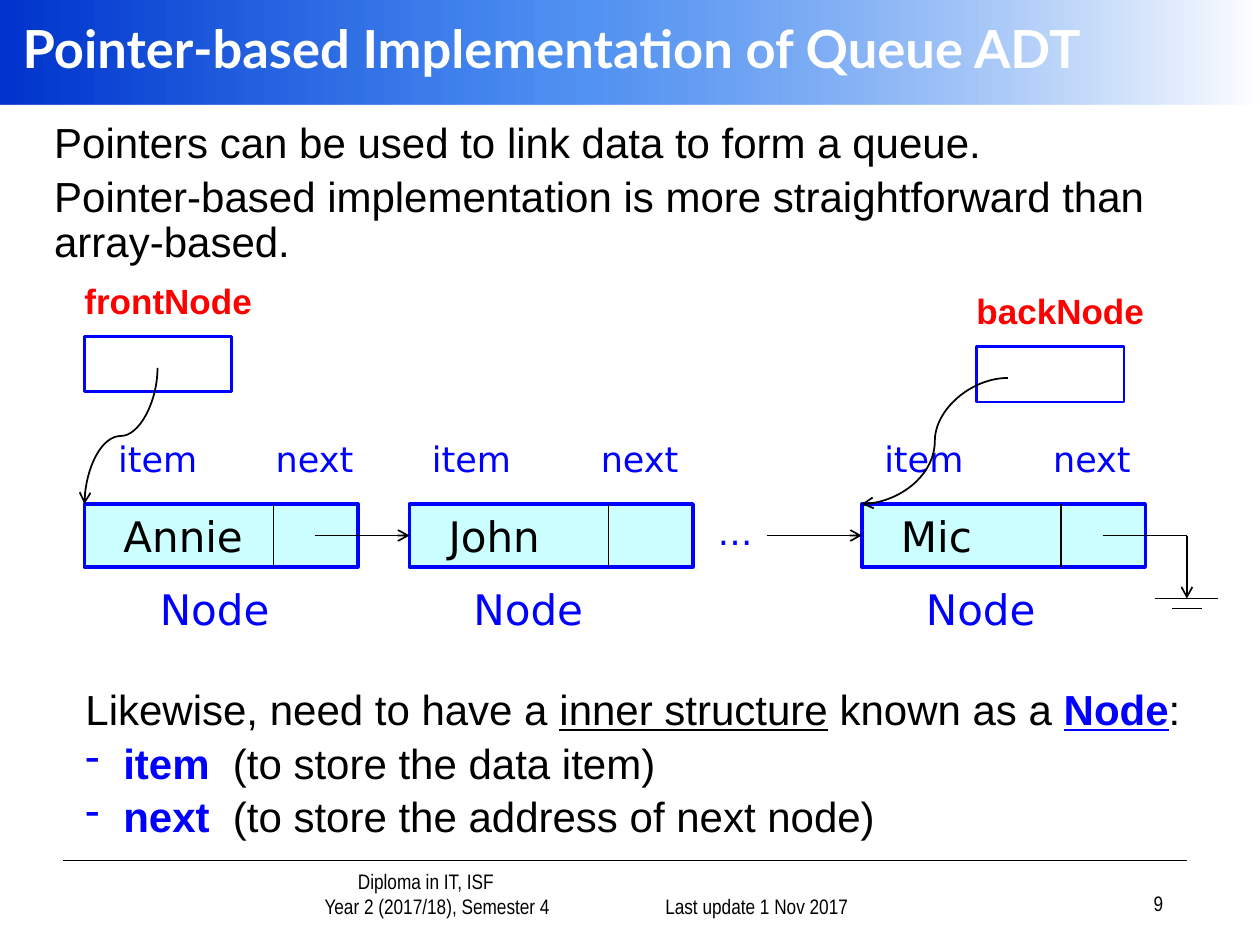
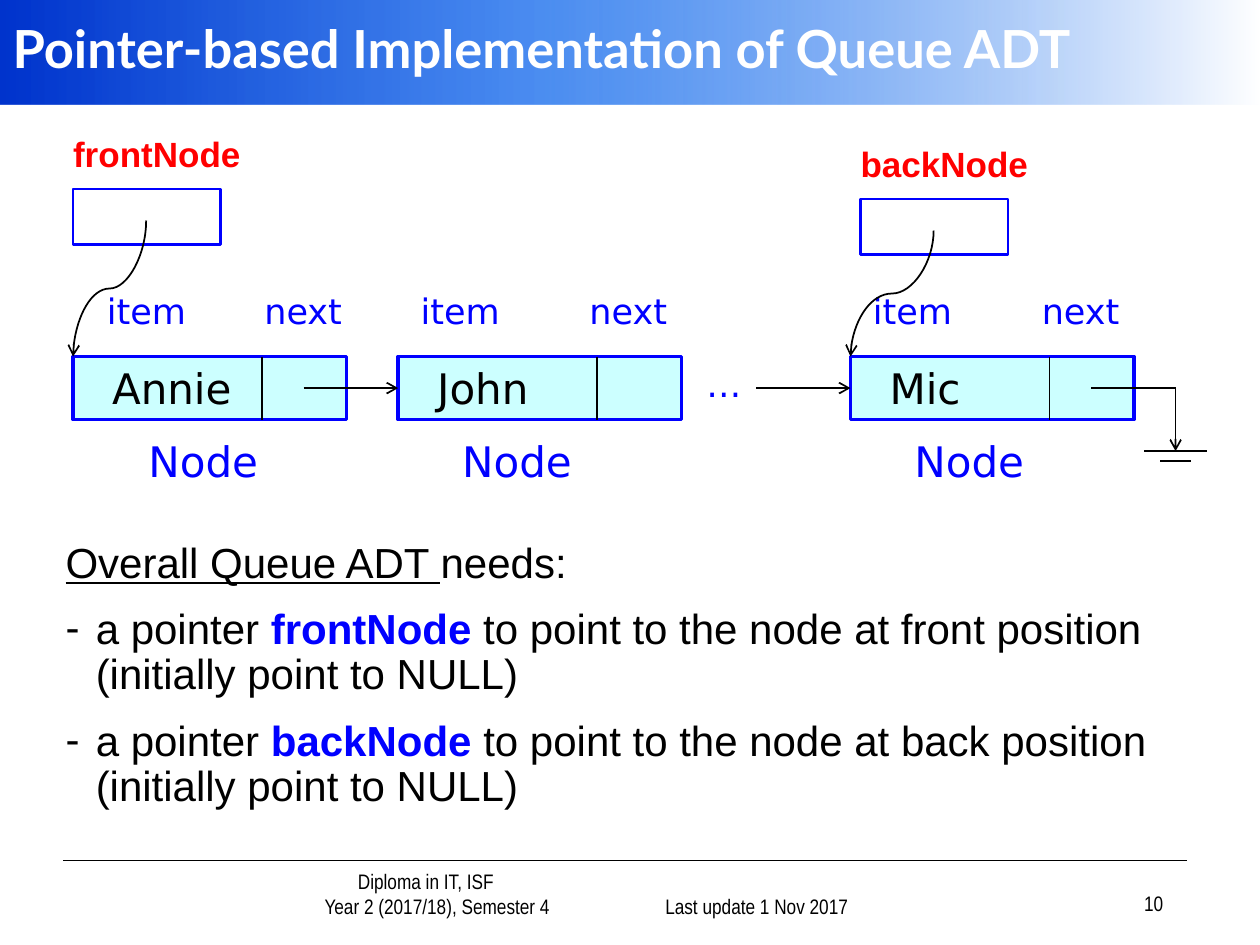
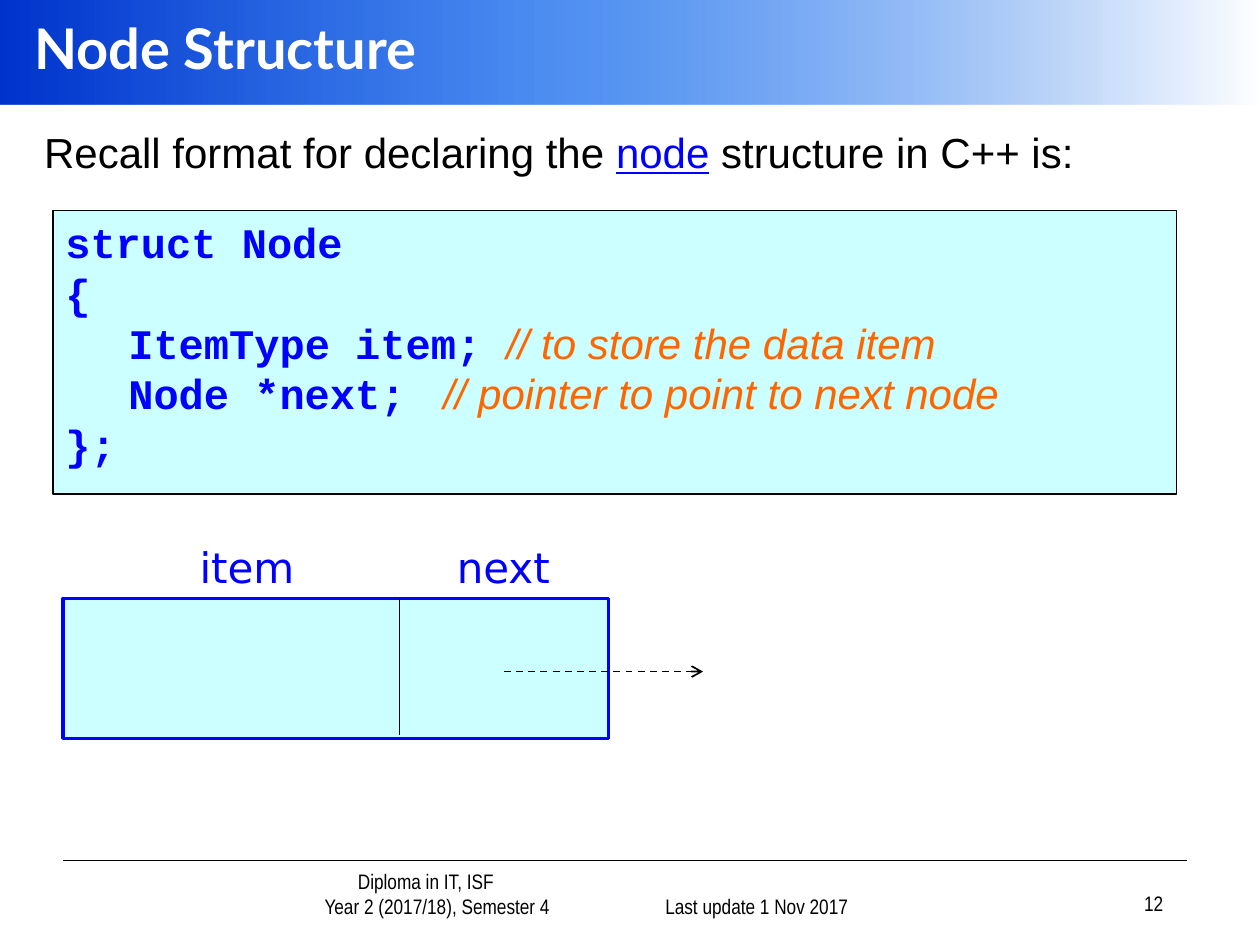
from lxml import etree
from pptx import Presentation
from pptx.dml.color import RGBColor
from pptx.enum.dml import MSO_LINE
from pptx.enum.shapes import MSO_CONNECTOR, MSO_SHAPE
from pptx.enum.text import MSO_ANCHOR, MSO_AUTO_SIZE, PP_ALIGN
from pptx.oxml.ns import qn
from pptx.util import Inches, Pt

RECT = MSO_SHAPE.RECTANGLE
LINE, CURVE = MSO_CONNECTOR.STRAIGHT, MSO_CONNECTOR.CURVE
DASH = MSO_LINE.DASH
TOP, MIDDLE, BOTTOM = MSO_ANCHOR.TOP, MSO_ANCHOR.MIDDLE, MSO_ANCHOR.BOTTOM
LEFT, CENTER, RIGHT = PP_ALIGN.LEFT, PP_ALIGN.CENTER, PP_ALIGN.RIGHT
FIXED = MSO_AUTO_SIZE.NONE

BLACK, WHITE, BLUE, RED = "000000", "FFFFFF", "0000FF", "FF0000"
CYAN, ORANGE = "CCFFFF", "FF6600"
BAND = [(0, "0033CC", 100), (43, "005EEB", 70), (100, WHITE, 100)]

BODY = dict(name="Arial", size=Pt(24), color=BLACK)
TITLE = dict(name="Lato", bold=True, color=WHITE)
FOOT = dict(name="Arial Narrow", size=Pt(12), color=BLACK)
TAG = dict(name="DejaVu Sans", size=Pt(20), color=BLUE)
BIG = dict(TAG, size=Pt(24))
POINTER = dict(name="Arial", size=Pt(20), bold=True, color=RED)
CODE = dict(name="Courier New", size=Pt(24), bold=True, color=BLUE)
NOTE = dict(name="Arial", bold=False, italic=True, color=ORANGE)
KEY = dict(bold=True, color=BLUE)
UNDER = dict(underline=True)

TIGHT = dict(line_spacing=0.9, space_before=Pt(4.8), alignment=LEFT)
LOOSE = dict(TIGHT, space_before=Pt(12))


def rgb(code):
    return RGBColor.from_string(code)


def put(thing, values):
    for name, value in values.items():
        if name == "color":
            thing.color.rgb = rgb(value)
        else:
            setattr(thing, name, value)


def place(shape, box):
    names = ("left", "top", "width", "height")
    put(shape, dict(zip(names, map(Inches, box))))


def indent(para, left, hang=0, mark=None, tabs=()):
    props = para._p.get_or_add_pPr()
    props.set("marL", str(Inches(left)))
    props.set("indent", str(Inches(-hang)))
    if mark:
        etree.SubElement(props, qn("a:buChar"), char=mark)
    else:
        etree.SubElement(props, qn("a:buNone"))
    if tabs:
        stops = etree.SubElement(props, qn("a:tabLst"))
        for stop in tabs:
            etree.SubElement(stops, qn("a:tab"), pos=str(Inches(stop)), algn="l")


def write(shape, paras, font, form=None, anchor=TOP, **frame):
    text = shape.text_frame
    put(text, dict(word_wrap=True, auto_size=FIXED, vertical_anchor=anchor, **frame))
    result = []
    for i, runs in enumerate(paras):
        para = text.paragraphs[0] if i == 0 else text.add_paragraph()
        put(para, form or {"alignment": LEFT})
        for words, extra in runs:
            run = para.add_run()
            run.text = words
            put(run.font, {**font, **extra})
        result.append(para)
    return result


def label(shapes, box, words, font, align=LEFT, anchor=TOP):
    area = shapes.add_textbox(*map(Inches, box))
    write(area, [[(words, {})]], font, {"alignment": align}, anchor)


def rect(shapes, box, fill=None, edge=None, width=0):
    shape = shapes.add_shape(RECT, *map(Inches, box))
    shape.shadow.inherit = False
    if fill:
        shape.fill.solid()
        shape.fill.fore_color.rgb = rgb(fill)
    else:
        shape.fill.background()
    if edge:
        put(shape.line, dict(color=edge, width=Pt(width)))
    else:
        shape.line.fill.background()
    return shape


def link(shapes, start, end, head=False, kind=LINE, dash=None):
    wire = shapes.add_connector(kind, *map(Inches, (*start, *end)))
    put(wire.line, dict(color=BLACK, width=Pt(1)))
    if dash:
        wire.line.dash_style = dash
    props = wire.element.spPr
    if head:
        etree.SubElement(props.find(qn("a:ln")), qn("a:tailEnd"), type="arrow")
    etree.SubElement(props, qn("a:effectLst"))
    return wire


def bend(shapes, start, end, upright):
    if not upright:
        link(shapes, start, end, True, CURVE)
        return
    (x1, y1), (x2, y2) = start, end
    midx, midy = (x1 + x2) / 2, (y1 + y2) / 2
    halfw, halfh = (y2 - y1) / 2, (x1 - x2) / 2
    wire = link(shapes, (midx - halfw, midy - halfh),
                (midx + halfw, midy + halfh), True, CURVE)
    wire.element.spPr.find(qn("a:xfrm")).set("rot", "5400000")


def band(slide, box):
    shape = rect(slide.shapes, box)
    shape.fill.gradient()
    shape.fill.gradient_angle = 0
    stops = shape.element.spPr.find(qn("a:gradFill")).find(qn("a:gsLst"))
    for stop in list(stops):
        stops.remove(stop)
    for spot, code, alpha in BAND:
        stop = etree.SubElement(stops, qn("a:gs"), pos=str(spot * 1000))
        tint = etree.SubElement(stop, qn("a:srgbClr"), val=code)
        if alpha < 100:
            etree.SubElement(tint, qn("a:alpha"), val=str(alpha * 1000))
    shape.element.getparent().insert(2, shape.element)


def footer(slide, x, y, number):
    shapes = slide.shapes
    link(shapes, (x, y), (x + 8.92, y))
    area = shapes.add_textbox(*map(Inches, (x + 1.18, y + 0.09, 2.9, 0.42)))
    lines = [[("Diploma in IT, ISF", {})], [("Year 2 (2017/18), Semester 4", {})]]
    paras = write(area, lines, FOOT, {"alignment": CENTER}, BOTTOM)
    for para, left in zip(paras, (0.5, 0.68)):
        indent(para, left)
    label(shapes, (x + 4.25, y + 0.09, 2.08, 0.42), "Last update 1 Nov 2017",
          FOOT, RIGHT, BOTTOM)
    label(shapes, (x + 6.75, y + 0.07, 2.08, 0.42), str(number), FOOT, RIGHT, BOTTOM)


def page(deck, number, title, box, size=30):
    slide = deck.slides.add_slide(deck.slide_layouts[1])
    band(slide, (0, 0, 10, 0.83))
    footer(slide, 0.5, 6.83, number)
    place(slide.shapes.title, box)
    write(slide.shapes.title, [[(title, {})]], dict(TITLE, size=Pt(size)), anchor=MIDDLE)
    return slide


def body(slide, box, paras, form):
    area = slide.placeholders[1]
    place(area, box)
    return write(area, paras, BODY, form)


def bullets(paras, hang):
    indent(paras[0], 0)
    for para in paras[1:]:
        indent(para, hang, hang, "-")


def node(shapes, x, y, width, name, gap):
    cell = rect(shapes, (x, y, width, 0.5), CYAN, BLUE, 2)
    write(cell, [[(name, {})]], dict(BIG, color=BLACK), margin_left=Inches(0.31))
    split = x + width - 0.67
    link(shapes, (split, y), (split, y + 0.5))
    label(shapes, (x + gap, y - 0.58, 1.33, 0.44), "item", TAG)
    label(shapes, (x + 1.42, y - 0.58, 1.33, 0.44), "next", TAG)
    label(shapes, (x + gap + 0.33, y + 0.58, 1.5, 0.5), "Node", BIG)


def pointer(shapes, x, y, name, inset, tip, upright=True):
    label(shapes, (x - 0.17, y - 0.5, 1.67, 0.44), name, POINTER, CENTER)
    rect(shapes, (x, y, 1.17, 0.44), None, BLUE, 1.5)
    bend(shapes, (x + inset, y + 0.25), tip, upright)


def ground(shapes, x, y):
    link(shapes, (x - 0.67, y), (x, y))
    link(shapes, (x, y), (x, y + 0.5), True)
    for half, drop in ((0.25, 0.5), (0.12, 0.58)):
        link(shapes, (x - half, y + drop), (x + half, y + drop))


def queue(slide, x, y, back, inset, upright):
    shapes = slide.shapes.add_group_shape().shapes
    nodes = [(0, 2.17, "Annie", 0.17), (2.58, 2.25, "John", 0.08),
             (6.17, 2.25, "Mic", 0.08)]
    for left, width, name, gap in nodes:
        node(shapes, x + left, y, width, name, gap)
    for left, *_ in nodes[1:]:
        end = x + left
        link(shapes, (end - 0.75, y + 0.25), (end, y + 0.25), True)
    label(shapes, (x + 4.5, y, 1.33, 0.44), "…", TAG, CENTER)
    ground(shapes, x + 8.75, y + 0.25)
    pointer(shapes, x, y - 1.33, "frontNode", 0.58, (x, y))
    pointer(shapes, x + back, y - 1.25, "backNode", inset, (x + 6.17, y), upright)


def code(slide, box):
    lines = [[("struct Node", {})], [("{", {})],
             [("\tItemType item;\t", {}), ("// to store the data item", NOTE)],
             [("\tNode\t*next;\t", {}), ("// pointer to point to next node", NOTE)],
             [("};", {})]]
    area = rect(slide.shapes, box, CYAN, BLACK, 0.75)
    for para in write(area, lines, CODE):
        indent(para, 0, tabs=(0.6, 2.4, 4))


def record(slide, x, y):
    shapes = slide.shapes
    rect(shapes, (x, y, 4.33, 1.11), CYAN, BLUE, 2)
    link(shapes, (x + 2.67, y), (x + 2.67, y + 1.08))
    label(shapes, (x + 0.67, y - 0.5, 1.58, 0.51), "item", BIG, CENTER)
    label(shapes, (x + 2.83, y - 0.5, 1.33, 0.51), "next", BIG, CENTER)
    link(shapes, (x + 3.5, y + 0.58), (x + 5.08, y + 0.58), True, dash=DASH)


def intro(deck):
    slide = page(deck, 9, "Pointer-based Implementation of Queue ADT",
                 (0.08, 0, 10.75, 0.75))
    lines = ["Pointers can be used to link data to form a queue.",
             "Pointer-based implementation is more straightforward than array-based."]
    for para in body(slide, (0.33, 0.92, 9.08, 1.92),
                     [[(line, {})] for line in lines], TIGHT):
        indent(para, 0)
    needs = [[("Likewise, need to have a ", {}), ("inner structure", UNDER),
              (" known as a ", {}), ("Node", {**KEY, **UNDER}), (":", {})],
             [("item ", KEY), (" (to store the data item)", {})],
             [("next ", KEY), (" (to store the address of next node)", {})]]
    area = slide.shapes.add_textbox(*map(Inches, (0.58, 5.42, 9.08, 1.92)))
    bullets(write(area, needs, BODY, TIGHT), 0.3)
    queue(slide, 0.67, 4, 7.08, 0.25, False)


def needs(deck):
    slide = page(deck, 10, "Pointer-based Implementation of Queue ADT",
                 (0, 0, 10.75, 0.75))
    lines = [[("Overall Queue ADT ", UNDER), ("needs:", {})]]
    for side in ("front", "back"):
        lines.append([("a pointer ", {}), (f"{side}Node ", KEY),
                      (f"to point to the node at {side} position "
                       "(initially point to NULL)", {})])
    bullets(body(slide, (0.42, 4.25, 9.08, 2), lines, LOOSE), 0.24)
    queue(slide, 0.58, 2.83, 6.25, 0.58, True)


def struct(deck):
    slide = page(deck, 12, "Node Structure", (0.17, 0, 9.83, 0.75), 32)
    line = [("Recall format for declaring the ", {}),
            ("node", dict(color=BLUE, underline=True)), (" structure in C++ is:", {})]
    indent(body(slide, (0.25, 1, 9.58, 0.67), [line], TIGHT)[0], 0)
    record(slide, 0.5, 4.75)
    code(slide, (0.42, 1.67, 8.92, 2.25))


deck = Presentation()
put(deck, dict(slide_width=Inches(10), slide_height=Inches(7.5)))
for build in (intro, needs, struct):
    build(deck)
deck.save("out.pptx")
